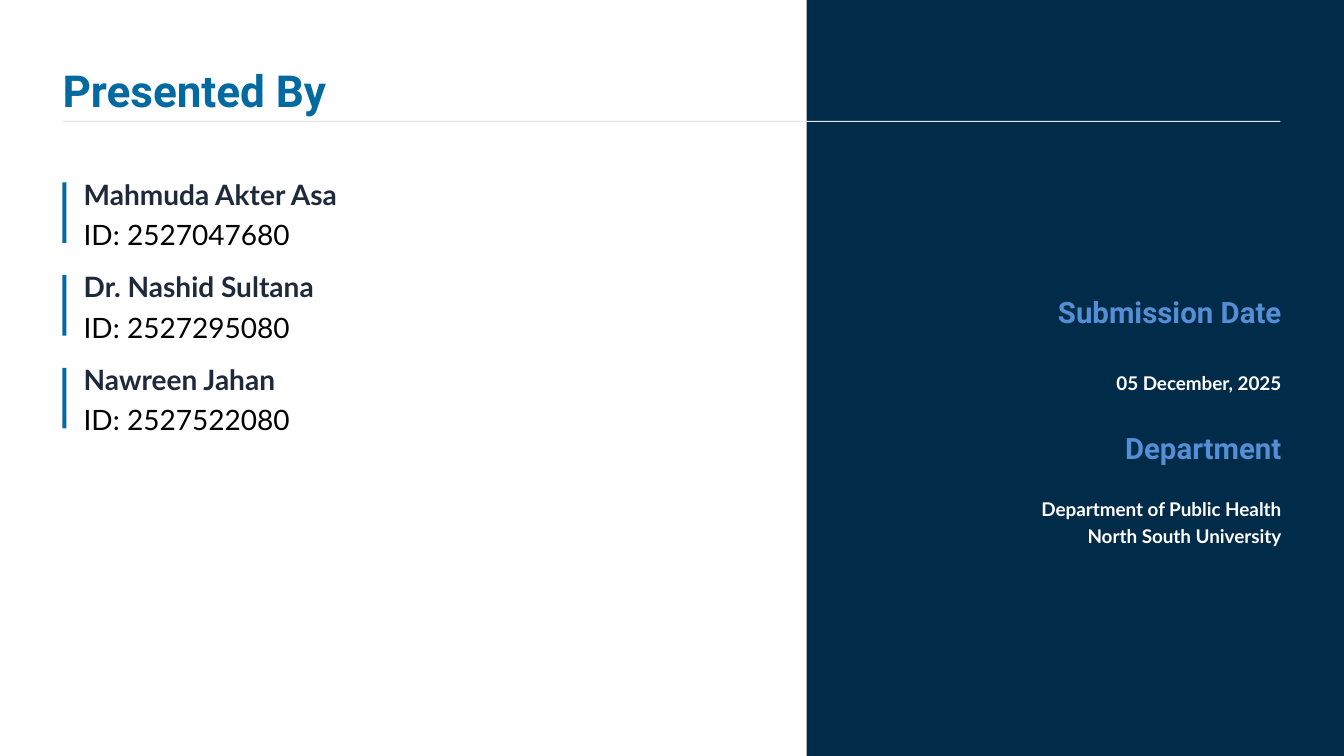
from pptx import Presentation
from pptx.dml.color import RGBColor
from pptx.enum.shapes import MSO_SHAPE
from pptx.enum.text import MSO_ANCHOR, MSO_AUTO_SIZE, PP_ALIGN
from pptx.util import Inches, Pt

NAVY = RGBColor(0x00, 0x2B, 0x49)
BLUE = RGBColor(0x03, 0x69, 0xA1)
SKY = RGBColor(0x55, 0x8E, 0xD5)
RULE = RGBColor(0xE2, 0xE8, 0xF0)
INK = RGBColor(0x1E, 0x29, 0x3B)
BLACK = RGBColor(0x00, 0x00, 0x00)
WHITE = RGBColor(0xFF, 0xFF, 0xFF)

TITLE = dict(name="Roboto", size=Pt(31.5), bold=True, color=BLUE)
HEADING = dict(name="Roboto", size=Pt(21), bold=True, color=SKY)
DETAIL = dict(name="Lato", size=Pt(13.5), bold=True, color=WHITE)
PERSON = dict(name="Lato", size=Pt(20), bold=True, color=INK)
PERSON_ID = dict(PERSON, bold=False, color=BLACK)

FRAME = dict(margin_left=0, margin_top=0, margin_right=0, margin_bottom=0,
             word_wrap=True, auto_size=MSO_AUTO_SIZE.NONE,
             vertical_anchor=MSO_ANCHOR.TOP)


class SlideBuilder:
    """Draws styled elements on one slide."""

    def __init__(self, slide):
        self.slide = slide

    def block(self, left, top, width, height, color):
        block = self.slide.shapes.add_shape(
            MSO_SHAPE.RECTANGLE, *map(Inches, (left, top, width, height)))
        block.shadow.inherit = False
        block.fill.solid()
        block.fill.fore_color.rgb = color
        block.line.fill.background()

    def title(self, left, top, width, height, wording):
        title = self.slide.shapes.title
        title.left, title.top, title.width, title.height = map(
            Inches, (left, top, width, height))
        self.fill_frame(title.text_frame, [(wording, TITLE)])

    def text(self, left, top, width, height, lines, **paragraph_format):
        box = self.slide.shapes.add_textbox(
            *map(Inches, (left, top, width, height)))
        self.fill_frame(box.text_frame, lines, **paragraph_format)

    def fill_frame(self, frame, lines, align=PP_ALIGN.LEFT, spacing=1.2):
        for key, value in FRAME.items():
            setattr(frame, key, value)
        paragraph = frame.paragraphs[0]
        paragraph.alignment = align
        paragraph.line_spacing = spacing
        for index, (wording, style) in enumerate(lines):
            if index:
                paragraph.add_line_break()
            run = paragraph.add_run()
            run.text = wording
            for key, value in style.items():
                if key == "color":
                    run.font.color.rgb = value
                else:
                    setattr(run.font, key, value)


def main():
    deck = Presentation()
    deck.slide_width, deck.slide_height = Inches(13.33), Inches(7.5)
    page = SlideBuilder(deck.slides.add_slide(deck.slide_layouts[5]))

    # Side panel, title and rule
    page.block(8, 0, 5.33, 7.5, NAVY)
    page.title(0.62, 0.52, 12.69, 0.64, "Presented By")
    page.block(0.62, 1.2, 12.08, 0.01, RULE)

    # Submission details, right-aligned in the panel
    right = PP_ALIGN.RIGHT
    page.text(6.69, 2.85, 6.02, 0.42, [("Submission Date", HEADING)], align=right)
    page.text(6.98, 3.55, 5.73, 0.36, [("05 December, 2025", DETAIL)],
              align=right, spacing=1.6)
    page.text(6.69, 4.2, 6.02, 0.42, [("Department", HEADING)], align=right)
    page.text(6.98, 4.89, 5.73, 0.54,
              [("Department of Public Health", DETAIL),
               ("North South University", DETAIL)], align=right)

    # Presenters, each with an accent bar
    presenters = [
        ("Mahmuda Akter Asa", "ID: 2527047680"),
        ("Dr. Nashid Sultana", "ID: 2527295080"),
        ("Nawreen Jahan", "ID: 2527522080"),
    ]
    for row, (person, person_id) in enumerate(presenters):
        offset = row * 0.92
        page.text(0.83, 1.69 + offset, 5.52, 0.81,
                  [(person, PERSON), (person_id, PERSON_ID)])
        page.block(0.62, 1.81 + offset, 0.04, 0.6, BLUE)

    deck.save("out.pptx")


if __name__ == "__main__":
    main()
